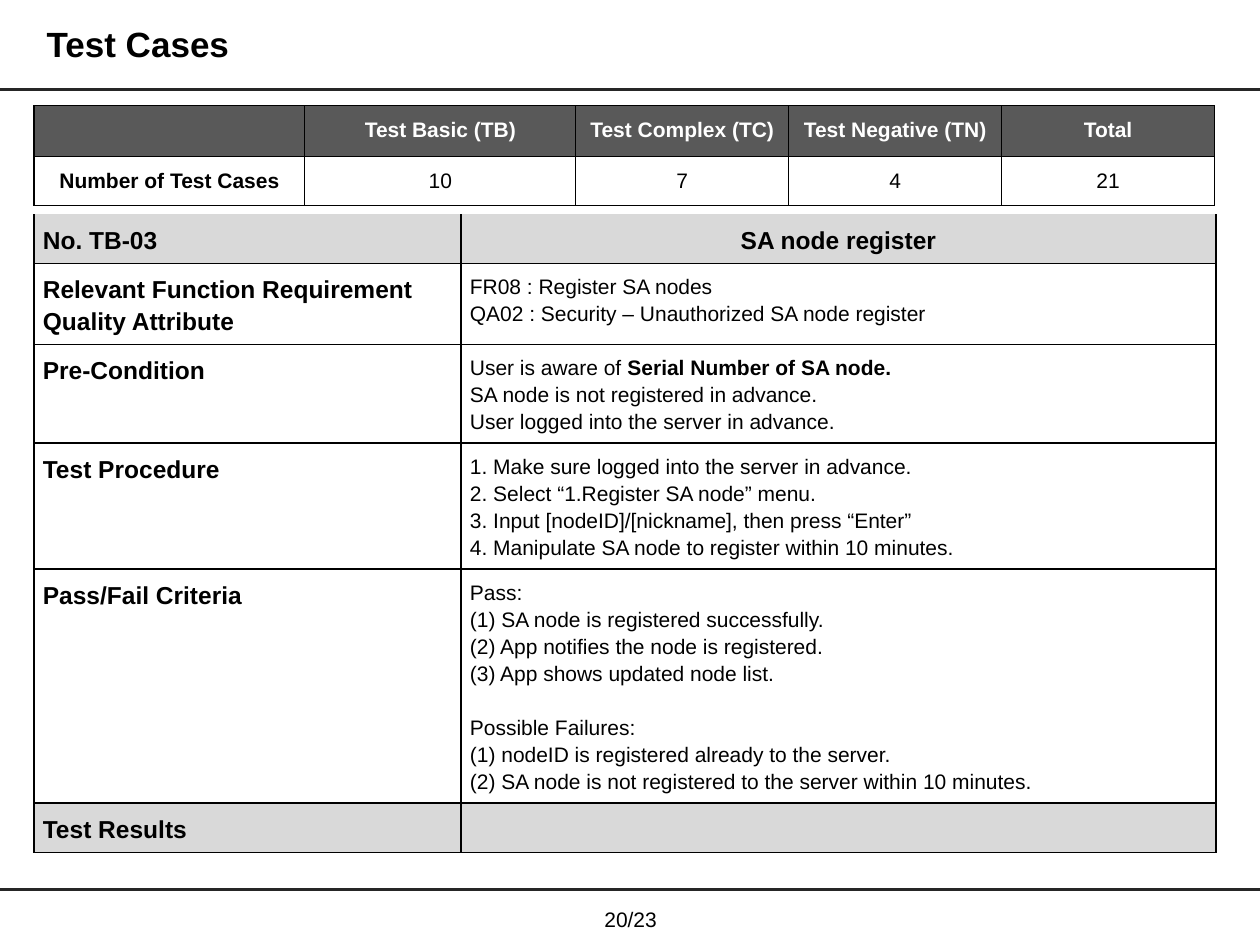
from lxml.etree import SubElement
from pptx import Presentation
from pptx.dml.color import RGBColor
from pptx.enum.shapes import MSO_CONNECTOR
from pptx.enum.text import MSO_ANCHOR, MSO_AUTO_SIZE, PP_ALIGN
from pptx.oxml import parse_xml
from pptx.oxml.ns import nsdecls, qn
from pptx.util import Inches, Pt

BLACK = RGBColor(0, 0, 0)
WHITE = RGBColor(255, 255, 255)
RULE = RGBColor(0x26, 0x26, 0x26)
DARK = RGBColor(0x59, 0x59, 0x59)
LIGHT = RGBColor(0xD9, 0xD9, 0xD9)
FONT = "Arial"
LEFT = 0.27
BLANK_LINE = 15.4

TITLE = "Test Cases"
PAGE_NUMBER = "20/23"
COUNTS = [
    ("", "Test Basic (TB)", "Test Complex (TC)", "Test Negative (TN)", "Total"),
    ("Number of Test Cases", "10", "7", "4", "21"),
]
COUNT_WIDTHS = [2.15, 2.15, 1.69, 1.69, 1.69]
COUNT_HEIGHTS = [0.38, 0.38]

CASE = [
    (["No. TB-03"], ["SA node register"]),
    (["Relevant Function Requirement", "Quality Attribute"],
     ["FR08 : Register SA nodes",
      "QA02 : Security – Unauthorized SA node register"]),
    (["Pre-Condition"],
     [("User is aware of ", "Serial Number of SA node."),
      "SA node is not registered in advance.",
      "User logged into the server in advance."]),
    (["Test Procedure"],
     ["1. Make sure logged into the server in advance.",
      "2. Select “1.Register SA node” menu.",
      "3. Input [nodeID]/[nickname], then press “Enter”",
      "4. Manipulate SA node to register within 10 minutes."]),
    (["Pass/Fail Criteria"],
     ["Pass:",
      "(1) SA node is registered successfully.",
      "(2) App notifies the node is registered.",
      "(3) App shows updated node list.",
      "Possible Failures:",
      "(1) nodeID is registered already to the server.",
      "(2) SA node is not registered to the server within 10 minutes."]),
    (["Test Results"], []),
]
CASE_WIDTHS = [3.39, 5.99]
CASE_HEIGHTS = [0.39, 0.64, 0.78, 0.99, 1.86, 0.39]


def add_span(para, text, size, bold=False, color=BLACK):
    span = para.add_run()
    span.text = text
    span.font.name = FONT
    span.font.size = Pt(size)
    span.font.bold = bold
    span.font.color.rgb = color


def add_rule(page, y):
    rule = page.shapes.add_connector(
        MSO_CONNECTOR.STRAIGHT, 0, Inches(y), Inches(10), Inches(y))
    rule.line.color.rgb = RULE
    rule.line.width = Pt(1.75)
    SubElement(rule._element.spPr, qn("a:effectLst"))


def set_borders(cell, width, open_top=False):
    properties = cell._tc.get_or_add_tcPr()
    for index, side in enumerate("LRTB"):
        if side == "T" and open_top:
            paint = "<a:noFill/>"
        else:
            paint = f'<a:solidFill><a:srgbClr val="{BLACK}"/></a:solidFill>'
        border = f'<a:ln{side} {nsdecls("a")} w="{Pt(width)}">{paint}</a:ln{side}>'
        properties.insert(index, parse_xml(border))


def add_grid(page, top, widths, heights):
    frame = page.shapes.add_table(
        len(heights), len(widths), Inches(LEFT), Inches(top),
        Inches(sum(widths)), Inches(sum(heights)))
    table = frame.table
    table.first_row = table.horz_banding = False
    for column, width in zip(table.columns, widths):
        column.width = Inches(width)
    for row, height in zip(table.rows, heights):
        row.height = Inches(height)
    return table


def style_cell(cell, margin, fill, border, open_top=False):
    cell.margin_left = cell.margin_right = Inches(margin)
    cell.margin_top = cell.margin_bottom = Inches(margin)
    if fill is None:
        cell.fill.background()
    else:
        cell.fill.solid()
        cell.fill.fore_color.rgb = fill
    set_borders(cell, border, open_top)


def add_case_table(page):
    table = add_grid(page, 1.7, CASE_WIDTHS, CASE_HEIGHTS)
    for r, row in enumerate(CASE):
        shaded = r in (0, len(CASE) - 1)
        for c, lines in enumerate(row):
            cell = table.cell(r, c)
            style_cell(cell, 0.07, LIGHT if shaded else None, 1, r == 0)
            heading = c == 0 or r == 0
            size = 14 if heading else 12
            cell.text_frame.paragraphs[0].font.size = Pt(size)
            for i, line in enumerate(lines):
                frame = cell.text_frame
                para = frame.add_paragraph() if i else frame.paragraphs[0]
                para.line_spacing = 1.15
                if r == 0 and c == 1:
                    para.alignment = PP_ALIGN.CENTER
                if line == "Possible Failures:":
                    para.space_before = Pt(BLANK_LINE)
                parts = (line,) if isinstance(line, str) else line
                for p, part in enumerate(parts):
                    add_span(para, part, size, heading or p == 1)


def add_count_table(page):
    table = add_grid(page, 0.84, COUNT_WIDTHS, COUNT_HEIGHTS)
    for r, row in enumerate(COUNTS):
        for c, text in enumerate(row):
            cell = table.cell(r, c)
            style_cell(cell, 0.1, None if r else DARK, 0.75)
            para = cell.text_frame.paragraphs[0]
            para.alignment = PP_ALIGN.CENTER
            para.font.size = Pt(12)
            if text:
                add_span(para, text, 12, r == 0 or c == 0, BLACK if r else WHITE)


def place_text(box, left, top, width, height):
    box.left, box.top = Inches(left), Inches(top)
    box.width, box.height = Inches(width), Inches(height)
    frame = box.text_frame
    frame.word_wrap = True
    frame.auto_size = MSO_AUTO_SIZE.NONE
    frame.vertical_anchor = MSO_ANCHOR.MIDDLE
    return frame.paragraphs[0]


def main():
    deck = Presentation()
    deck.slide_width, deck.slide_height = Inches(10), Inches(7.5)
    page = deck.slides.add_slide(deck.slide_layouts[5])

    para = place_text(page.shapes.title, LEFT, 0.1, 8.52, 0.53)
    para.alignment = PP_ALIGN.LEFT
    para.line_spacing = 0.9
    add_span(para, TITLE, 20, True)

    for y in (0.71, 7.06):
        add_rule(page, y)
    add_case_table(page)
    add_count_table(page)

    number_box = page.shapes.add_textbox(0, 0, 0, 0)
    para = place_text(number_box, 4.62, 7.14, 0.77, 0.31)
    para.alignment = PP_ALIGN.CENTER
    add_span(para, PAGE_NUMBER, 12)
    deck.save("out.pptx")


if __name__ == "__main__":
    main()
